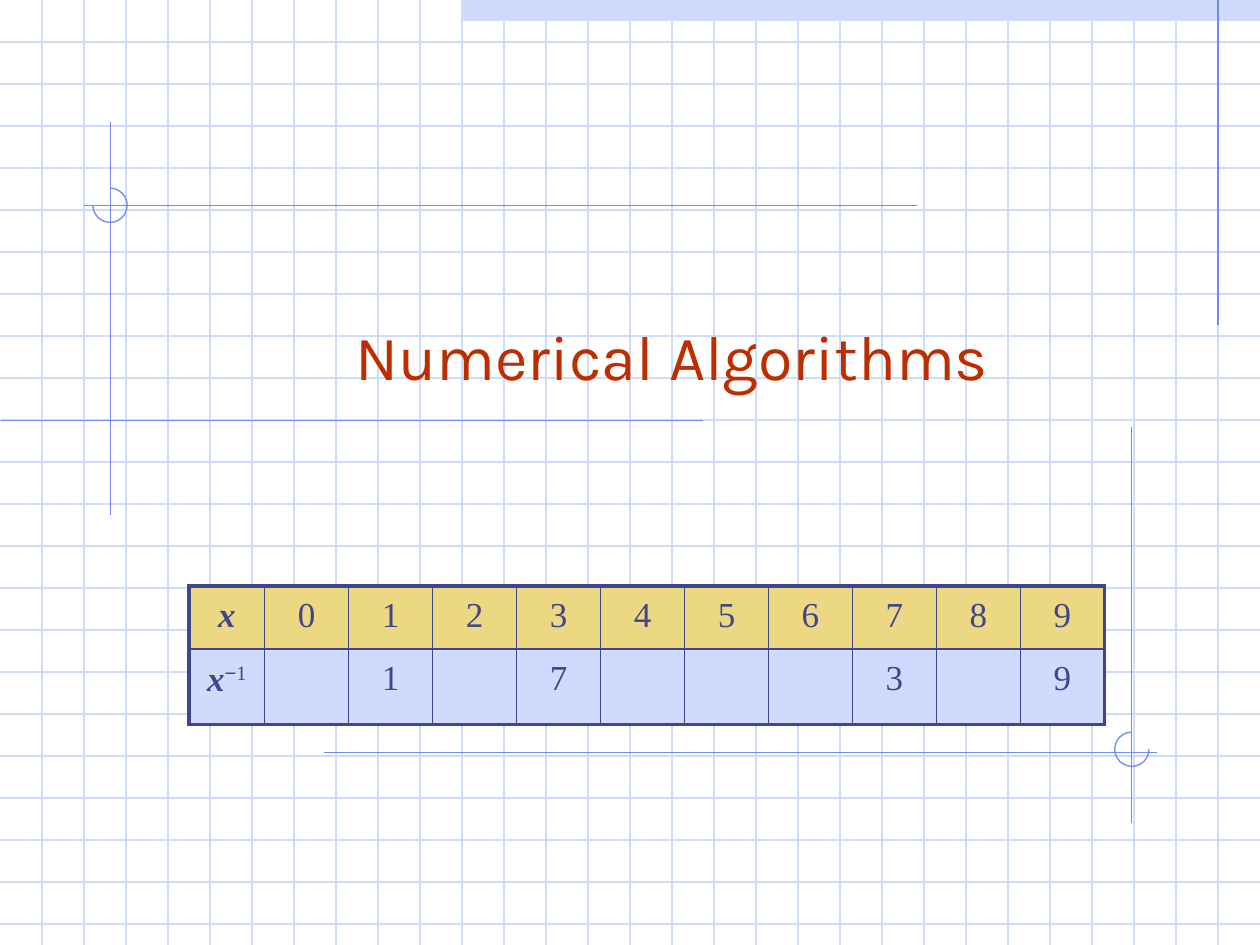
from lxml import etree
from pptx import Presentation
from pptx.dml.color import RGBColor
from pptx.enum.shapes import MSO_CONNECTOR, MSO_SHAPE
from pptx.enum.text import MSO_ANCHOR, PP_ALIGN
from pptx.oxml.ns import qn
from pptx.util import Pt

STRAIGHT = MSO_CONNECTOR.STRAIGHT
RECTANGLE, ARC = MSO_SHAPE.RECTANGLE, MSO_SHAPE.ARC
CENTER = PP_ALIGN.CENTER
TOP, BOTTOM = MSO_ANCHOR.TOP, MSO_ANCHOR.BOTTOM

PALE_BLUE = RGBColor(0xCF, 0xDB, 0xFD)
MID_BLUE = RGBColor(0x6F, 0x89, 0xF7)
NAVY = RGBColor(0x40, 0x45, 0x8C)
GOLD = RGBColor(0xEC, 0xD8, 0x82)
RUST = RGBColor(0xBE, 0x2D, 0x00)

WIDTH, HEIGHT = 720, 540
GRID_STEP = 24
THIN, INNER, OUTER = 0.75, 1, 2.25
SERIF = "Times New Roman"

# x1, y1, x2, y2
GUIDE_LINES = [
    (696, 0, 696, 185.8),
    (63.2, 70, 63.2, 294.4),
    (0.5, 240.4, 401.8, 240.4),
    (48, 117.3, 524.2, 117.3),
    (185, 430.2, 661, 430.2),
    (646.6, 244, 646.6, 470.4),
]
# left, top, start angle, end angle (clockwise degrees from the right)
GUIDE_ARCS = [
    (53.1, 107.5, 270, 180),
    (637, 418.3, 0, 270),
]
ARC_SIZE = 19.6

DIGITS = [str(digit) for digit in range(10)]
INVERSES = ["", "1", "", "7", "", "", "", "3", "", "9"]
ROW_HEIGHTS = [36, 43.2]
COLUMN_WIDTHS = [43.2] + [48] * 10


def add_line(page, x1, y1, x2, y2, color):
    line = page.shapes.add_connector(STRAIGHT, Pt(x1), Pt(y1), Pt(x2), Pt(y2))
    line.line.color.rgb = color
    line.line.width = Pt(THIN)
    etree.SubElement(line._element.spPr, qn("a:effectLst"))


def add_arc(page, left, top, start, end):
    arc = page.shapes.add_shape(ARC, Pt(left), Pt(top), Pt(ARC_SIZE), Pt(ARC_SIZE))
    # Angles are stored in 60000ths of a degree, adjustments in 100000ths.
    arc.adjustments[0] = start * 0.6
    arc.adjustments[1] = end * 0.6
    arc.shadow.inherit = False
    arc.fill.background()
    arc.line.color.rgb = MID_BLUE
    arc.line.width = Pt(THIN)


def add_background(page):
    band = page.shapes.add_shape(RECTANGLE, Pt(264), Pt(0), Pt(456), Pt(12))
    band.shadow.inherit = False
    band.fill.solid()
    band.fill.fore_color.rgb = PALE_BLUE
    band.line.fill.background()
    for y in range(GRID_STEP, HEIGHT, GRID_STEP):
        add_line(page, 0, y, WIDTH, y, PALE_BLUE)
    for x in range(GRID_STEP, WIDTH, GRID_STEP):
        add_line(page, x, 0, x, HEIGHT, PALE_BLUE)
    for ends in GUIDE_LINES:
        add_line(page, *ends, MID_BLUE)
    for arc in GUIDE_ARCS:
        add_arc(page, *arc)


def add_run(para, text, size, font_name, color):
    span = para.add_run()
    span.text = text
    span.font.size = Pt(size)
    span.font.name = font_name
    span.font.color.rgb = color
    return span


def add_title(page):
    box = page.shapes.add_textbox(Pt(78), Pt(138), Pt(612), Pt(90))
    frame = box.text_frame
    frame.word_wrap = True
    frame.vertical_anchor = BOTTOM
    para = frame.paragraphs[0]
    para.alignment = CENTER
    add_run(para, "Numerical Algorithms", 36, "Karla", RUST)


def set_borders(cell, widths):
    """Draw the left, right, top and bottom borders, in that order."""
    properties = cell._tc.get_or_add_tcPr()
    for index, (side, width) in enumerate(zip("LRTB", widths)):
        border = etree.Element(qn(f"a:ln{side}"), w=str(Pt(width)))
        fill = etree.SubElement(border, qn("a:solidFill"))
        etree.SubElement(fill, qn("a:srgbClr"), val=str(NAVY))
        properties.insert(index, border)


def add_cell_text(para, text, is_label, has_exponent):
    para.alignment = CENTER
    if text:
        span = add_run(para, text, 20, SERIF, NAVY)
        if is_label:
            span.font.bold = span.font.italic = True
    if has_exponent:
        for part, font_name in (("−", "Arial"), ("1", SERIF)):
            span = add_run(para, part, 20, font_name, NAVY)
            span.font._element.set("baseline", "30000")


def add_inverse_table(page):
    rows = [["x"] + DIGITS, ["x"] + INVERSES]
    last_row, last_column = len(rows) - 1, len(COLUMN_WIDTHS) - 1
    frame = page.shapes.add_table(
        len(rows), len(COLUMN_WIDTHS), Pt(108), Pt(334.8),
        Pt(sum(COLUMN_WIDTHS)), Pt(sum(ROW_HEIGHTS)))
    table = frame.table
    table.first_row = table.horz_banding = False
    for column, width in zip(table.columns, COLUMN_WIDTHS):
        column.width = Pt(width)
    for r, values in enumerate(rows):
        table.rows[r].height = Pt(ROW_HEIGHTS[r])
        for c, text in enumerate(values):
            cell = table.cell(r, c)
            cell.fill.solid()
            cell.fill.fore_color.rgb = PALE_BLUE if r else GOLD
            cell.vertical_anchor = TOP
            cell.margin_top = Pt(6)
            edges = (c == 0, c == last_column, r == 0, r == last_row)
            set_borders(cell, [OUTER if edge else INNER for edge in edges])
            add_cell_text(cell.text_frame.paragraphs[0], text,
                          is_label=c == 0, has_exponent=c == 0 and r == 1)


def main():
    deck = Presentation()
    deck.slide_width, deck.slide_height = Pt(WIDTH), Pt(HEIGHT)
    page = deck.slides.add_slide(deck.slide_layouts[6])
    add_background(page)
    add_title(page)
    add_inverse_table(page)
    deck.save("out.pptx")


if __name__ == "__main__":
    main()
